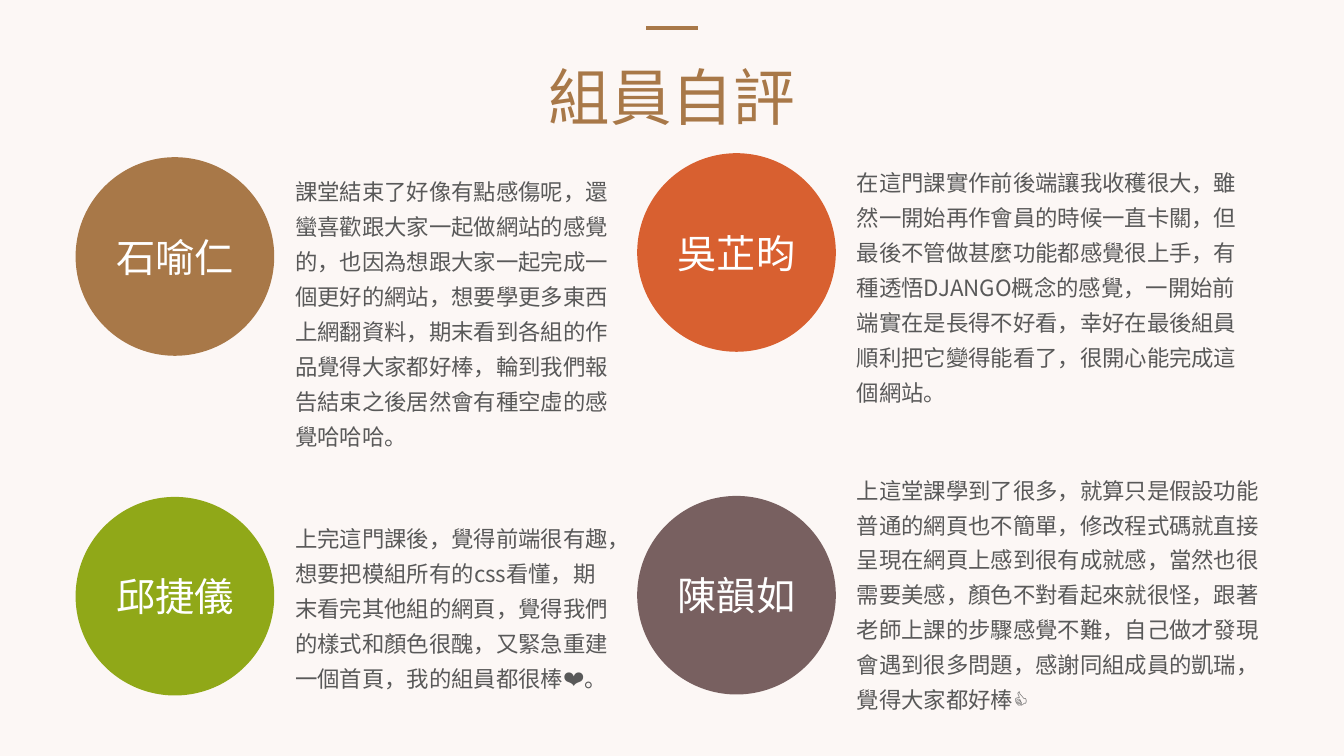
from lxml.etree import SubElement
from pptx import Presentation
from pptx.dml.color import RGBColor
from pptx.enum.shapes import MSO_CONNECTOR, MSO_SHAPE
from pptx.enum.text import MSO_ANCHOR, MSO_AUTO_SIZE, PP_ALIGN
from pptx.oxml.ns import qn
from pptx.util import Inches, Pt

FONT = "Noto Sans CJK SC"
CREAM = RGBColor(0xFC, 0xF7, 0xF5)
BROWN = RGBColor(0xA8, 0x78, 0x48)
ORANGE = RGBColor(0xD8, 0x60, 0x30)
GREEN = RGBColor(0x90, 0xA8, 0x18)
PLUM = RGBColor(0x78, 0x60, 0x60)
GRAY = RGBColor(0x59, 0x59, 0x59)
WHITE = RGBColor(0xFF, 0xFF, 0xFF)

DIAMETER = 1.97
LEFT_X, RIGHT_X = 0.75, 6.32
TEXT_OFFSET = 2.08

# name, colour, circle left, circle top, text top, text width, text height, review
MEMBERS = [
    ("石喻仁", BROWN, LEFT_X, 1.56, 1.64, 3.37, 2.87,
     "課堂結束了好像有點感傷呢，還蠻喜歡跟大家一起做網站的感覺的，"
     "也因為想跟大家一起完成一個更好的網站，想要學更多東西上網翻資料，"
     "期末看到各組的作品覺得大家都好棒，輪到我們報告結束之後居然會有種空虛的感覺哈哈哈。"),
    ("吳芷昀", ORANGE, RIGHT_X, 1.52, 1.55, 4.11, 2.52,
     "在這門課實作前後端讓我收穫很大，雖然一開始再作會員的時候一直卡關，"
     "但最後不管做甚麼功能都感覺很上手，有種透悟DJANGO概念的感覺，"
     "一開始前端實在是長得不好看，幸好在最後組員順利把它變得能看了，很開心能完成這個網站。"),
    ("邱捷儀", GREEN, LEFT_X, 4.93, 5.08, 3.37, 2.17,
     "上完這門課後，覺得前端很有趣，想要把模組所有的css看懂，"
     "期末看完其他組的網頁，覺得我們的樣式和顏色很醜，又緊急重建一個首頁，"
     "我的組員都很棒❤️。"),
    ("陳韻如", PLUM, RIGHT_X, 4.92, 4.6, 4.29, 2.52,
     "上這堂課學到了很多，就算只是假設功能普通的網頁也不簡單，"
     "修改程式碼就直接呈現在網頁上感到很有成就感，當然也很需要美感，"
     "顏色不對看起來就很怪，跟著老師上課的步驟感覺不難，"
     "自己做才發現會遇到很多問題，感謝同組成員的凱瑞，覺得大家都好棒👍"),
]


def add_run(p, text, size, color):
    """Add a run whose Latin and East Asian fonts are both FONT."""
    r = p.add_run()
    r.text = text
    r.font.size = Pt(size)
    r.font.color.rgb = color
    r.font.name = FONT
    SubElement(r.font._element, qn("a:ea")).set("typeface", FONT)


def add_text(s, x, y, w, h, text, size, color, wrap=True):
    tf = s.shapes.add_textbox(Inches(x), Inches(y), Inches(w), Inches(h)).text_frame
    tf.word_wrap = wrap
    tf.auto_size = MSO_AUTO_SIZE.SHAPE_TO_FIT_TEXT
    p = tf.paragraphs[0]
    add_run(p, text, size, color)
    return p


def add_title(s, text):
    p = add_text(s, 5.33, 0.54, 2.67, 0.84, text, 44, BROWN, wrap=False)
    p.alignment = PP_ALIGN.CENTER


def add_accent_line(s):
    line = s.shapes.add_connector(MSO_CONNECTOR.STRAIGHT, Inches(6.41), Inches(0.28),
                                  Inches(6.92), Inches(0.28))
    line.line.color.rgb = BROWN
    line.line.width = Pt(3)
    SubElement(line._element.spPr, qn("a:effectLst"))


def add_name_circle(s, x, y, name, color):
    sp = s.shapes.add_shape(MSO_SHAPE.OVAL, Inches(x), Inches(y),
                            Inches(DIAMETER), Inches(DIAMETER))
    sp.shadow.inherit = False
    sp.fill.solid()
    sp.fill.fore_color.rgb = color
    sp.line.fill.background()
    tf = sp.text_frame
    tf.word_wrap = True
    tf.vertical_anchor = MSO_ANCHOR.MIDDLE
    p = tf.paragraphs[0]
    p.alignment = PP_ALIGN.CENTER
    add_run(p, name, 28, WHITE)


def add_review(s, x, y, w, h, text):
    p = add_text(s, x, y, w, h, text, 16, GRAY)
    p.line_spacing = 1.3


def main():
    prs = Presentation()
    prs.slide_width, prs.slide_height = Inches(13.33), Inches(7.5)
    s = prs.slides.add_slide(prs.slide_layouts[6])
    s.background.fill.solid()
    s.background.fill.fore_color.rgb = CREAM

    add_title(s, "組員自評")
    add_accent_line(s)
    for name, color, x, y, text_y, w, h, review in MEMBERS:
        add_name_circle(s, x, y, name, color)
        add_review(s, x + TEXT_OFFSET, text_y, w, h, review)
    prs.save("out.pptx")


if __name__ == "__main__":
    main()
